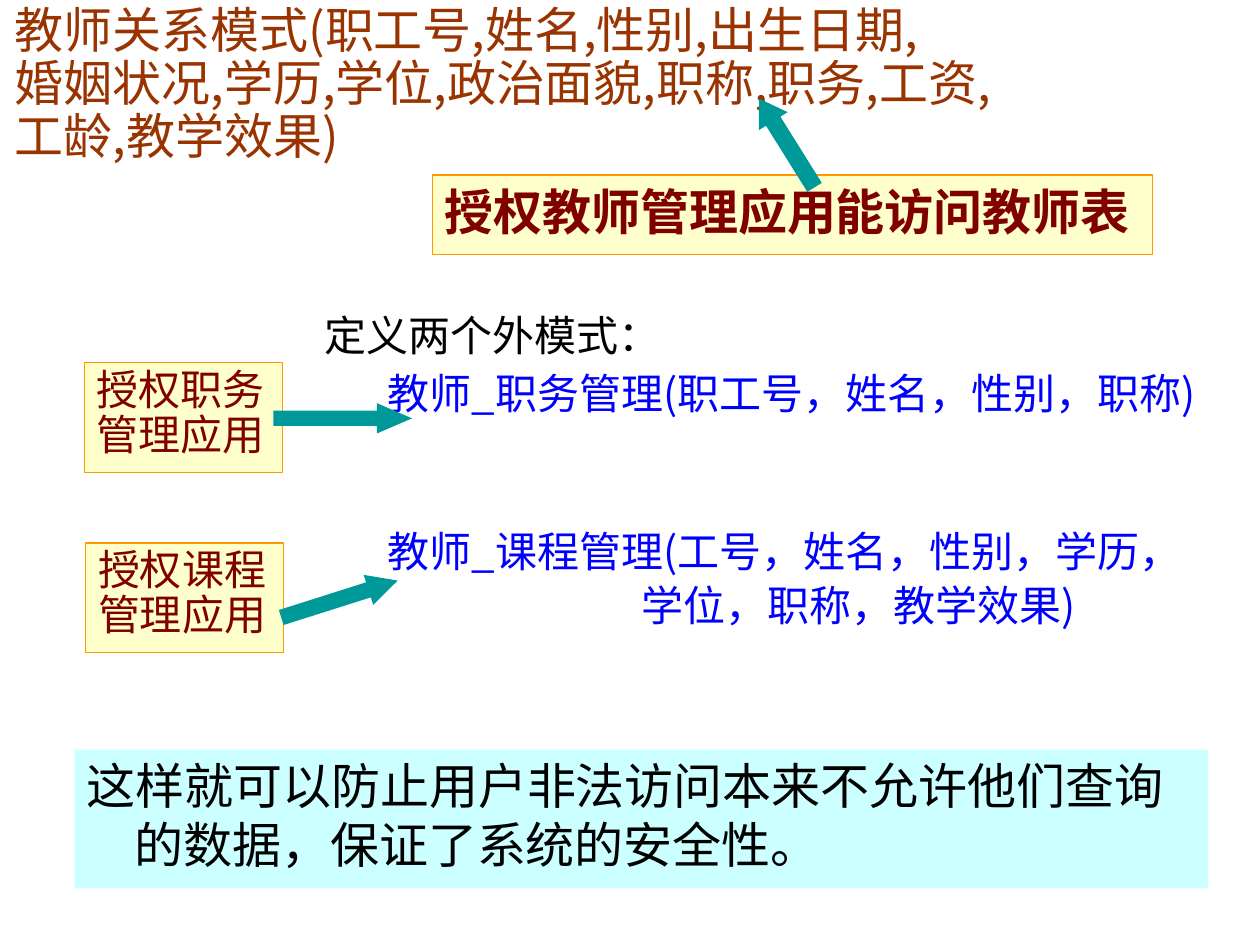
"""Build the slide on teacher relation schemas and their external views."""
from lxml.etree import SubElement
from pptx import Presentation
from pptx.dml.color import RGBColor
from pptx.enum.shapes import MSO_SHAPE
from pptx.enum.text import MSO_ANCHOR, PP_ALIGN
from pptx.oxml.ns import qn
from pptx.util import Inches, Pt

WHITE = RGBColor(0xFF, 0xFF, 0xFF)
CREAM = RGBColor(0xFF, 0xFF, 0xCC)
ORANGE = RGBColor(0xFF, 0x99, 0x00)
CYAN = RGBColor(0xCC, 0xFF, 0xFF)
TEAL = RGBColor(0x00, 0x99, 0x99)
BLACK = RGBColor(0x00, 0x00, 0x00)
BLUE = RGBColor(0x00, 0x00, 0xFF)
MAROON = RGBColor(0x80, 0x00, 0x00)
BROWN = RGBColor(0x99, 0x33, 0x00)
SANS, SERIF = "Noto Sans CJK JP", "Times New Roman"

prs = Presentation()
prs.slide_width, prs.slide_height = Inches(10), Inches(7.5)
s = prs.slides.add_slide(prs.slide_layouts[6])


def add_block(kind, x, y, w, h, fill, line=None):
    """Add a filled shape placed by percentages of the slide's size."""
    cw, rh = prs.slide_width / 100, prs.slide_height / 100
    sp = s.shapes.add_shape(kind, int(x * cw), int(y * rh), int(w * cw), int(h * rh))
    sp.shadow.inherit = False
    sp.fill.solid()
    sp.fill.fore_color.rgb = fill
    if line is None:
        sp.line.fill.background()
    else:
        sp.line.color.rgb = line
        sp.line.width = Pt(0.75)
    return sp


def add_par(tf, first, text, color, fmt, left=0.38, hang=0.38, **spacing):
    """Write one paragraph with a hanging indent."""
    p = tf.paragraphs[0] if first else tf.add_paragraph()
    p.alignment = PP_ALIGN.LEFT
    for name, value in spacing.items():
        setattr(p, name, value)
    pPr = p._p.get_or_add_pPr()
    pPr.set("marL", str(Inches(left)))
    pPr.set("indent", str(-Inches(hang)))
    r = p.add_run()
    r.text = text
    for name, value in fmt.items():
        setattr(r.font, name, value)
    r.font.color.rgb = color
    SubElement(r._r.get_or_add_rPr(), qn("a:ea")).set("typeface", SANS)


sans24 = {"name": SANS, "size": Pt(24)}
sans28 = {"name": SANS, "size": Pt(28)}
serif24 = {"name": SERIF, "size": Pt(24)}
bold28 = {"name": SERIF, "size": Pt(28), "bold": True}
tight = {"line_spacing": 0.9}
view = {"left": 0.81, "hang": 0.31, "level": 1}

boxes = [
    ((24.8, 32.13, 73.9, 36.8), WHITE, None, sans24, [
        ("定义两个外模式：", BLACK, {}),
        ("教师_职务管理(职工号，姓名，性别，职称)", BLUE, view | {"space_before": Pt(4)}),
        ("教师_课程管理(工号，姓名，性别，学历，", BLUE,
         view | tight | {"space_before": Pt(65)}),
        ("学位，职称，教学效果)", BLUE,
         view | tight | {"left": 2.51, "hang": 0, "space_before": Pt(4.8)}),
    ]),
    ((6.8, 57.47, 15.7, 11.6), CREAM, ORANGE, serif24,
     [(text, MAROON, tight) for text in ("授权课程", "管理应用")]),
    ((6.7, 38.4, 15.7, 11.6), CREAM, ORANGE, serif24,
     [(text, MAROON, tight) for text in ("授权职务", "管理应用")]),
    ((5.9, 79.33, 90, 14.67), CYAN, None, sans28, [
        ("这样就可以防止用户非法访问本来不允许他们查询的数据，保证了系统的安全性。", BLACK, {}),
    ]),
    ((0.2, 0, 87.8, 17.87), WHITE, None, sans28, [
        (text, BROWN, tight) for text in (
            "教师关系模式(职工号,姓名,性别,出生日期,",
            "婚姻状况,学历,学位,政治面貌,职称,职务,工资,",
            "工龄,教学效果)")
    ]),
    ((34.3, 18.53, 57.2, 8.4), CREAM, ORANGE, bold28,
     [("授权教师管理应用能访问教师表", MAROON, {})]),
]
for place, fill, line, fmt, pars in boxes:
    sp = add_block(MSO_SHAPE.RECTANGLE, *place, fill, line)
    tf = sp.text_frame
    tf.word_wrap = True
    tf.vertical_anchor = MSO_ANCHOR.TOP
    for i, (text, color, layout) in enumerate(pars):
        add_par(tf, i == 0, text, color, fmt, **layout)

arrows = [
    ((21.7, 42.67, 11, 3.2), 0, 1.157),
    ((22.1, 61.73, 9.7, 3.33), 342.4, 0.977),
    ((58.3, 13.33, 8.3, 3.6), 238, 0.779),
]
for place, angle, head in arrows:
    sp = add_block(MSO_SHAPE.RIGHT_ARROW, *place, TEAL)
    sp.rotation = angle
    sp.adjustments[0], sp.adjustments[1] = 0.5, head

prs.save("out.pptx")
